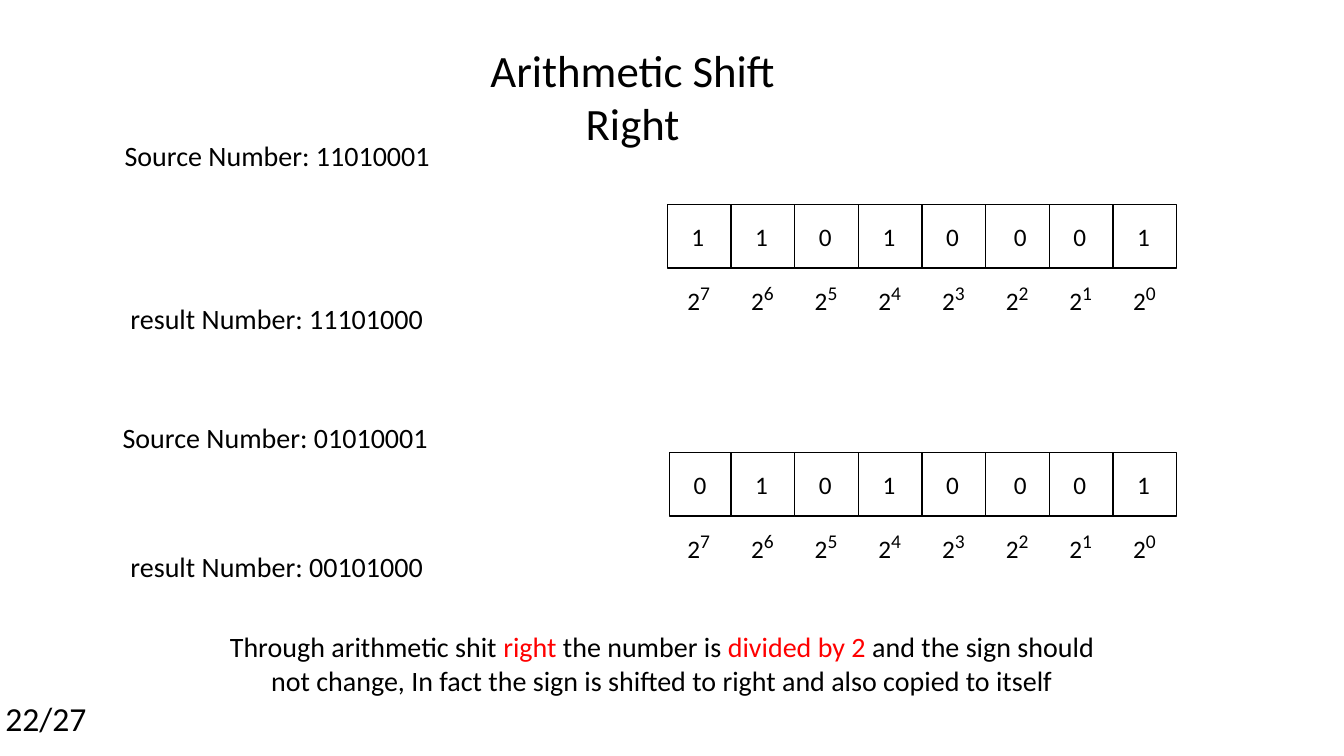
from dataclasses import dataclass

from pptx import Presentation
from pptx.dml.color import RGBColor
from pptx.enum import shapes, text
from pptx.util import Inches, Pt


@dataclass(frozen=True)
class Theme:
    font: str = "Calibri"
    ink: str = "000000"
    accent: str = "FF0000"
    paper: str = "FFFFFF"
    title: int = 32
    body: int = 20
    digit: int = 18
    power: int = 24
    page: int = 24
    outline: int = 1


@dataclass(frozen=True)
class Span:
    text: str
    size: int
    color: str = Theme.ink
    raised: bool = False


@dataclass(frozen=True)
class Label:
    left: float
    top: float
    width: float
    height: float
    spans: tuple[Span, ...]
    wrap: bool = True
    centred: bool = True
    inset: float = 0.1


@dataclass(frozen=True)
class Register:
    bits: str
    top: float
    sign_shift: float = 0


THEME = Theme()
CELL = 0.63
FIRST_LEFT, LAST_LEFT = 6.62, 11.04
THIRD_BIT_NUDGE = 0.04  # the digit above 2² sits slightly to the right

REGISTERS = (
    Register("11010001", 2.03),
    Register("01010001", 4.49, sign_shift=0.02),
)


def body(content: str, color: str = THEME.ink) -> Span:
    return Span(content, THEME.body, color)


LABELS = (
    # Title
    Label(4.25, 0.37, 4.05, 0.64,
          (Span("Arithmetic Shift Right", THEME.title),), inset=0.2),
    # Source and result numbers
    Label(1.12, 1.33, 3.26, 0.77, (body("Source Number: 11010001"),), wrap=False),
    Label(1.02, 2.94, 3.45, 0.77, (body("result Number: 11101000"),)),
    Label(1.1, 4.12, 3.26, 0.77, (body("Source Number: 01010001"),), wrap=False),
    Label(1.02, 5.4, 3.45, 0.77, (body("result Number: 00101000"),)),
    # Conclusion
    Label(1.99, 6.2, 9.15, 0.77, (
        body("Through arithmetic shit "),
        body("right", THEME.accent),
        body(" the number is "),
        body("divided by 2 ", THEME.accent),
        body("and the sign should not change, In fact the sign is "
             "shifted to right and also copied to itself"),
    )),
    # Page number
    Label(-0.05, 6.87, 1.01, 0.5, (Span("22/27", THEME.page),), wrap=False),
)


def add_label(page, label: Label) -> None:
    box = page.shapes.add_textbox(Inches(label.left), Inches(label.top),
                                  Inches(label.width), Inches(label.height))
    frame = box.text_frame
    frame.word_wrap = label.wrap
    frame.auto_size = text.MSO_AUTO_SIZE.SHAPE_TO_FIT_TEXT
    frame.margin_left = frame.margin_right = Inches(label.inset)
    para = frame.paragraphs[0]
    para.alignment = text.PP_ALIGN.CENTER if label.centred else text.PP_ALIGN.LEFT
    for span in label.spans:
        run = para.add_run()
        run.text = span.text
        run.font.name = THEME.font
        run.font.size = Pt(span.size)
        run.font.color.rgb = RGBColor.from_string(span.color)
        if span.raised:
            run.font._element.set("baseline", "30000")


def add_cell(page, left: float, top: float) -> None:
    cell = page.shapes.add_shape(shapes.MSO_SHAPE.RECTANGLE, Inches(left),
                                 Inches(top), Inches(CELL), Inches(CELL))
    cell.shadow.inherit = False
    cell.fill.solid()
    cell.fill.fore_color.rgb = RGBColor.from_string(THEME.paper)
    cell.line.color.rgb = RGBColor.from_string(THEME.ink)
    cell.line.width = Pt(THEME.outline)


def add_register(page, register: Register) -> None:
    highest = len(register.bits) - 1
    pitch = (LAST_LEFT - FIRST_LEFT) / highest
    for index, bit in enumerate(register.bits):
        power = highest - index
        left = FIRST_LEFT + index * pitch
        shift = register.sign_shift if index == 0 else 0
        nudge = THIRD_BIT_NUDGE if power == 2 else 0
        # Cell, its bit, and the place value below
        add_cell(page, left + shift, register.top)
        add_label(page, Label(left + shift + nudge + 0.14, register.top + 0.12,
                              0.35, 0.4, (Span(bit, THEME.digit),), centred=False))
        add_label(page, Label(left + 0.1, register.top + 0.67, 0.44, 0.4,
                              (Span("2", THEME.digit),
                               Span(str(power), THEME.power, raised=True)),
                              wrap=False, centred=False))


def main() -> None:
    deck = Presentation()
    deck.slide_width, deck.slide_height = Inches(13.33), Inches(7.5)
    page = deck.slides.add_slide(deck.slide_layouts[6])
    for register in REGISTERS:
        add_register(page, register)
    for label in LABELS:
        add_label(page, label)
    deck.save("out.pptx")


if __name__ == "__main__":
    main()
